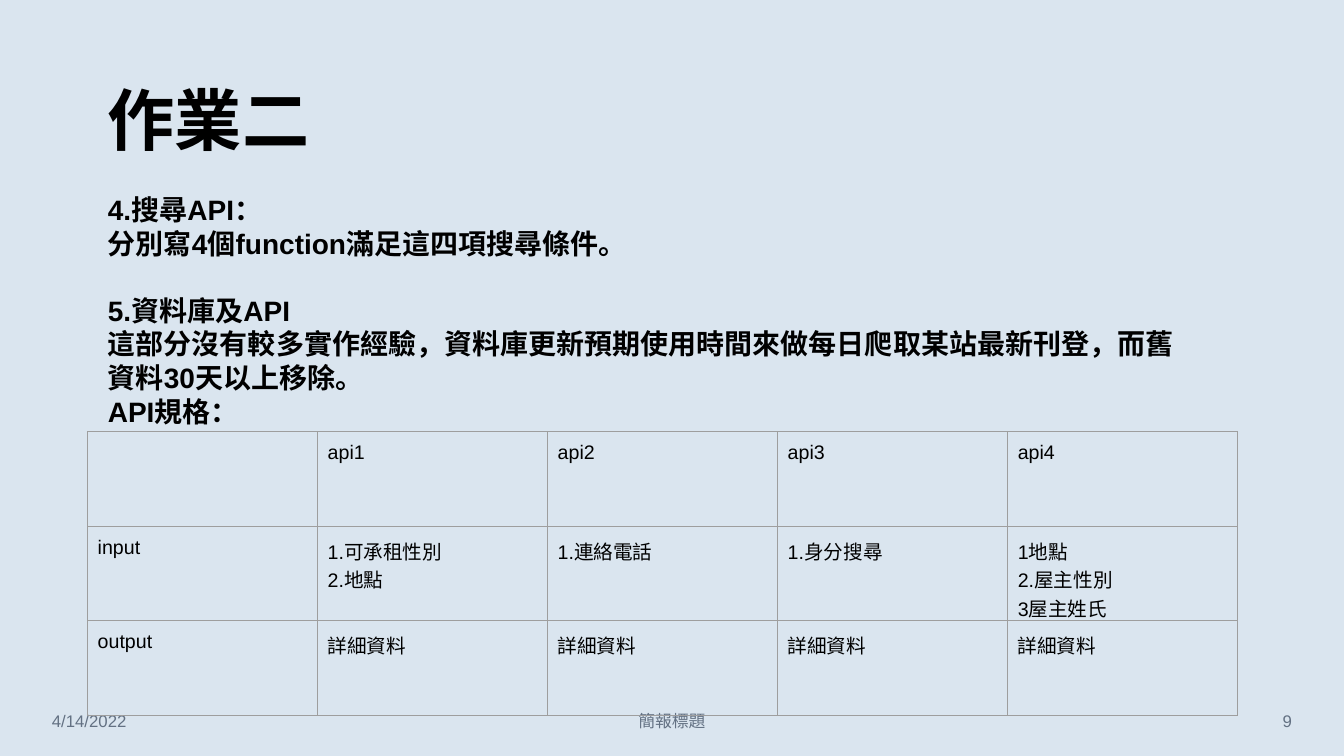
from dataclasses import dataclass

import pptx
import pptx.dml.color
import pptx.enum.text
import pptx.oxml
import pptx.oxml.ns
import pptx.util

Pt = pptx.util.Pt
RGBColor = pptx.dml.color.RGBColor
ALIGN = pptx.enum.text.PP_ALIGN
ANCHOR = pptx.enum.text.MSO_ANCHOR

FONT = "Arial"
BACKGROUND = RGBColor(0xDA, 0xE5, 0xEF)
BLACK = RGBColor(0, 0, 0)
FOOTER_GREY = RGBColor(0x63, 0x71, 0x83)
BORDER_GREY = RGBColor(0x9E, 0x9E, 0x9E)

COLUMN_WIDTH = 164.3
ROW_HEIGHT = 67.6
CELL_MARGIN = 7.2


@dataclass
class Footer:
    text: str
    left: float
    width: float
    align: ALIGN


FOOTERS = [
    Footer("4/14/2022", 30, 216, ALIGN.LEFT),
    Footer("簡報標題", 318, 324, ALIGN.CENTER),
    Footer("9", 714, 216, ALIGN.RIGHT),
]

BODY = [
    "4.搜尋API：",
    "分別寫4個function滿足這四項搜尋條件。",
    "5.資料庫及API",
    "這部分沒有較多實作經驗，資料庫更新預期使用時間來做每日爬取某站最新刊登，而舊資料30天以上移除。",
    "API規格：",
]
SECOND_SECTION = 2

API_TABLE = [
    ["", "api1", "api2", "api3", "api4"],
    ["input", "1.可承租性別\n2.地點", "1.連絡電話", "1.身分搜尋", "1地點\n2.屋主性別\n3屋主姓氏"],
    ["output"] + ["詳細資料"] * 4,
]


def format_text(tf, size: float, color: RGBColor, bold: bool = False, align: ALIGN = ALIGN.LEFT) -> None:
    for p in tf.paragraphs:
        p.alignment = align
        for r in p.runs:
            r.font.name = FONT
            r.font.size = Pt(size)
            r.font.bold = bold
            r.font.color.rgb = color


def place(sp, left: float, top: float, width: float, height: float) -> None:
    sp.left, sp.top, sp.width, sp.height = Pt(left), Pt(top), Pt(width), Pt(height)


def format_placeholder(sp, size: float) -> None:
    tf = sp.text_frame
    tf.auto_size = pptx.enum.text.MSO_AUTO_SIZE.NONE
    tf.vertical_anchor = ANCHOR.TOP
    format_text(tf, size, BLACK, bold=True)
    for p in tf.paragraphs:
        p.line_spacing = Pt(size * 1.2)
        p.space_before = Pt(0)


def add_footer(s, footer: Footer) -> None:
    sp = s.shapes.add_textbox(Pt(footer.left), Pt(500.4), Pt(footer.width), Pt(28.8))
    tf = sp.text_frame
    tf.word_wrap = True
    tf.vertical_anchor = ANCHOR.MIDDLE
    tf.text = footer.text
    format_text(tf, 12, FOOTER_GREY, align=footer.align)


def add_borders(cell) -> None:
    tc_pr = cell._tc.get_or_add_tcPr()
    for side in ("lnL", "lnR", "lnT", "lnB"):
        tc_pr.append(pptx.oxml.parse_xml(
            f'<a:{side} {pptx.oxml.ns.nsdecls("a")} w="{Pt(0.75)}"><a:solidFill>'
            f'<a:srgbClr val="{BORDER_GREY}"/></a:solidFill></a:{side}>'))


def add_api_table(s, rows: list[list[str]]) -> None:
    n_rows, n_cols = len(rows), len(rows[0])
    table = s.shapes.add_table(n_rows, n_cols, Pt(62.6), Pt(308.3),
                               Pt(COLUMN_WIDTH * n_cols), Pt(ROW_HEIGHT * n_rows)).table
    table.first_row = table.horz_banding = False
    for column in table.columns:
        column.width = Pt(COLUMN_WIDTH)
    for row, texts in zip(table.rows, rows):
        row.height = Pt(ROW_HEIGHT)
        for cell, text in zip(row.cells, texts):
            cell.margin_left = cell.margin_right = Pt(CELL_MARGIN)
            cell.margin_top = Pt(CELL_MARGIN)
            cell.margin_bottom = Pt(0)
            add_borders(cell)
            cell.fill.background()
            cell.text_frame.text = text
            format_text(cell.text_frame, 14, BLACK)


def main() -> None:
    prs = pptx.Presentation()
    prs.slide_width, prs.slide_height = Pt(960), Pt(540)
    s = prs.slides.add_slide(prs.slide_layouts[1])
    s.background.fill.solid()
    s.background.fill.fore_color.rgb = BACKGROUND

    # Footer line
    for footer in FOOTERS:
        add_footer(s, footer)

    # Title
    title = s.shapes.title
    place(title, 69.8, 52.6, 159.8, 65.5)
    title.text_frame.text = "作業二"
    format_placeholder(title, 48)
    title.text_frame.word_wrap = False

    # Body without bullets, with a gap before the second section
    body = s.placeholders[1]
    place(body, 69.8, 133.9, 795.6, 346.3)
    body.text_frame.text = "\n".join(BODY)
    format_placeholder(body, 20)
    for p in body.text_frame.paragraphs:
        p_pr = p._p.get_or_add_pPr()
        p_pr.set("marL", "0")
        p_pr.set("indent", "0")
        p_pr.append(pptx.oxml.parse_xml(f'<a:buNone {pptx.oxml.ns.nsdecls("a")}/>'))
    body.text_frame.paragraphs[SECOND_SECTION].space_before = Pt(24)

    # API table
    add_api_table(s, API_TABLE)

    prs.save("out.pptx")


if __name__ == "__main__":
    main()
